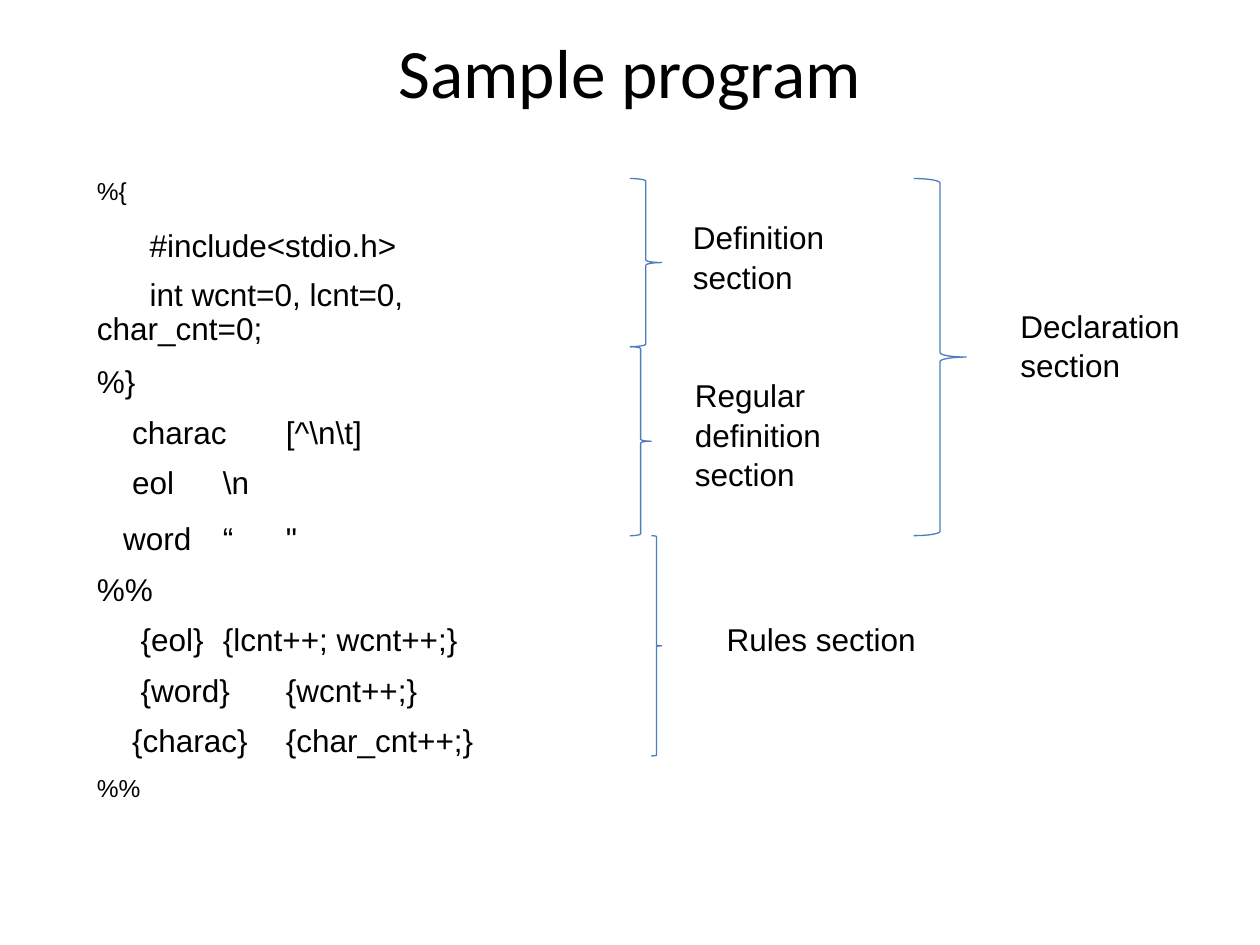
from dataclasses import dataclass

from lxml import etree
from pptx import Presentation
from pptx import util as u
from pptx.dml import color
from pptx.enum import shapes, text
from pptx.oxml import ns


@dataclass(frozen=True)
class Theme:
    ink: color.RGBColor = color.RGBColor(0, 0, 0)
    brace: color.RGBColor = color.RGBColor(0x4B, 0x7E, 0xBC)
    title_font: str = "Calibri"
    body_font: str = "Arial"
    title_size: float = 39.6
    body_size: float = 18
    small_size: float = 14
    brace_width: float = 0.75


@dataclass(frozen=True)
class CodeRow:
    """One line of code; lengths in centimetres."""
    content: str
    height: float = 1.02
    indent: float = 0
    tabs: tuple[float, ...] = ()
    size: float = Theme.body_size
    margin_top: float = 0.13
    spacing: float = 1.0


@dataclass(frozen=True)
class Section:
    """A brace from top to bottom and its label; lengths in centimetres."""
    label: str
    top: float
    bottom: float
    brace_left: float
    brace_width: float
    label_box: tuple[float, float, float, float]


THEME = Theme()

CODE = [
    CodeRow("%{", height=1.75, size=THEME.small_size, margin_top=0.86),
    CodeRow("#include<stdio.h>", indent=1.06),
    CodeRow("int wcnt=0, lcnt=0, char_cnt=0;", height=1.22, indent=1.06, spacing=0.96),
    CodeRow("%}"),
    CodeRow("charac\t[^\\n\\t]", indent=0.71, tabs=(3.66,)),
    CodeRow("eol\t\\n", indent=0.71, tabs=(3.3,)),
    CodeRow("word\t\u201c\t\"", height=1.12, indent=0.53, tabs=(3.66, 4.42), margin_top=0.23),
    CodeRow("%%"),
    CodeRow("{eol}\t{lcnt++; wcnt++;}", indent=0.88, tabs=(3.55,)),
    CodeRow("{word}\t{wcnt++;}", indent=0.88, tabs=(3.55,)),
    CodeRow("{charac}\t{char_cnt++;}", indent=0.71, tabs=(3.55,)),
    CodeRow("%%", size=THEME.small_size),
]

# Heights at which the sections of the program meet
START, REGULAR, RULES, END = 3.6, 6.99, 10.8, 15.24

SECTIONS = [
    Section("Definition section", START, REGULAR, 12.7, 0.64, (13.72, 4.24, 4.24, 1.8)),
    Section("Regular definition section", REGULAR, RULES, 12.7, 0.43, (13.76, 7.42, 3.81, 2.57)),
    Section("Declaration section", START, RULES, 18.42, 1.06, (20.32, 6.02, 4.24, 1.8)),
    Section("Rules section", RULES, END, 13.13, 0.21, (14.4, 12.34, 6.48, 1.63)),
]


def write_text(frame, content: str, *, size: float = THEME.body_size,
               font: str = THEME.body_font, align=text.PP_ALIGN.LEFT,
               spacing: float = 1.0, indent: float = 0, tabs: tuple[float, ...] = ()) -> None:
    frame.word_wrap = True
    paragraph = frame.paragraphs[0]
    paragraph.alignment = align
    paragraph.line_spacing = spacing
    run = paragraph.add_run()
    run.text = content
    run.font.size = u.Pt(size)
    run.font.name = font
    run.font.color.rgb = THEME.ink
    properties = paragraph._p.get_or_add_pPr()
    properties.set("marL", "0")
    properties.set("indent", str(u.Cm(indent)))
    if tabs:
        tab_list = etree.SubElement(properties, ns.qn("a:tabLst"))
        for position in tabs:
            etree.SubElement(tab_list, ns.qn("a:tab"), pos=str(u.Cm(position)), algn="l")


def add_text(slide, box: tuple[float, float, float, float], content: str,
             *, anchor=text.MSO_ANCHOR.TOP, **text_format) -> None:
    frame = slide.shapes.add_textbox(*map(u.Cm, box)).text_frame
    frame.vertical_anchor = anchor
    write_text(frame, content, **text_format)


def add_code(slide, rows: list[CodeRow]) -> None:
    total = sum(row.height for row in rows)
    table = slide.shapes.add_table(len(rows), 1, u.Cm(1.7), u.Cm(2.74),
                                   u.Cm(9.96), u.Cm(total)).table
    table.first_row = table.horz_banding = False
    for index, row in enumerate(rows):
        table.rows[index].height = u.Cm(row.height)
        cell = table.cell(index, 0)
        cell.fill.background()
        cell.margin_top = u.Cm(row.margin_top)
        write_text(cell.text_frame, row.content, size=row.size, spacing=row.spacing,
                   indent=row.indent, tabs=row.tabs)


def add_section(slide, section: Section) -> None:
    brace = slide.shapes.add_shape(
        shapes.MSO_SHAPE.RIGHT_BRACE, u.Cm(section.brace_left), u.Cm(section.top),
        u.Cm(section.brace_width), u.Cm(section.bottom - section.top))
    brace.shadow.inherit = False
    brace.fill.background()
    brace.line.color.rgb = THEME.brace
    brace.line.width = u.Pt(THEME.brace_width)
    add_text(slide, section.label_box, section.label, spacing=1.05)


presentation = Presentation()
presentation.slide_width, presentation.slide_height = u.Cm(25.4), u.Cm(19.05)
slide = presentation.slides.add_slide(presentation.slide_layouts[6])

# Title
add_text(slide, (1.27, 0.76, 22.86, 1.35), "Sample program", size=THEME.title_size,
         font=THEME.title_font, align=text.PP_ALIGN.CENTER, anchor=text.MSO_ANCHOR.MIDDLE)

# Program listing
add_code(slide, CODE)

# Braces and section names
for section in SECTIONS:
    add_section(slide, section)

presentation.save("out.pptx")
